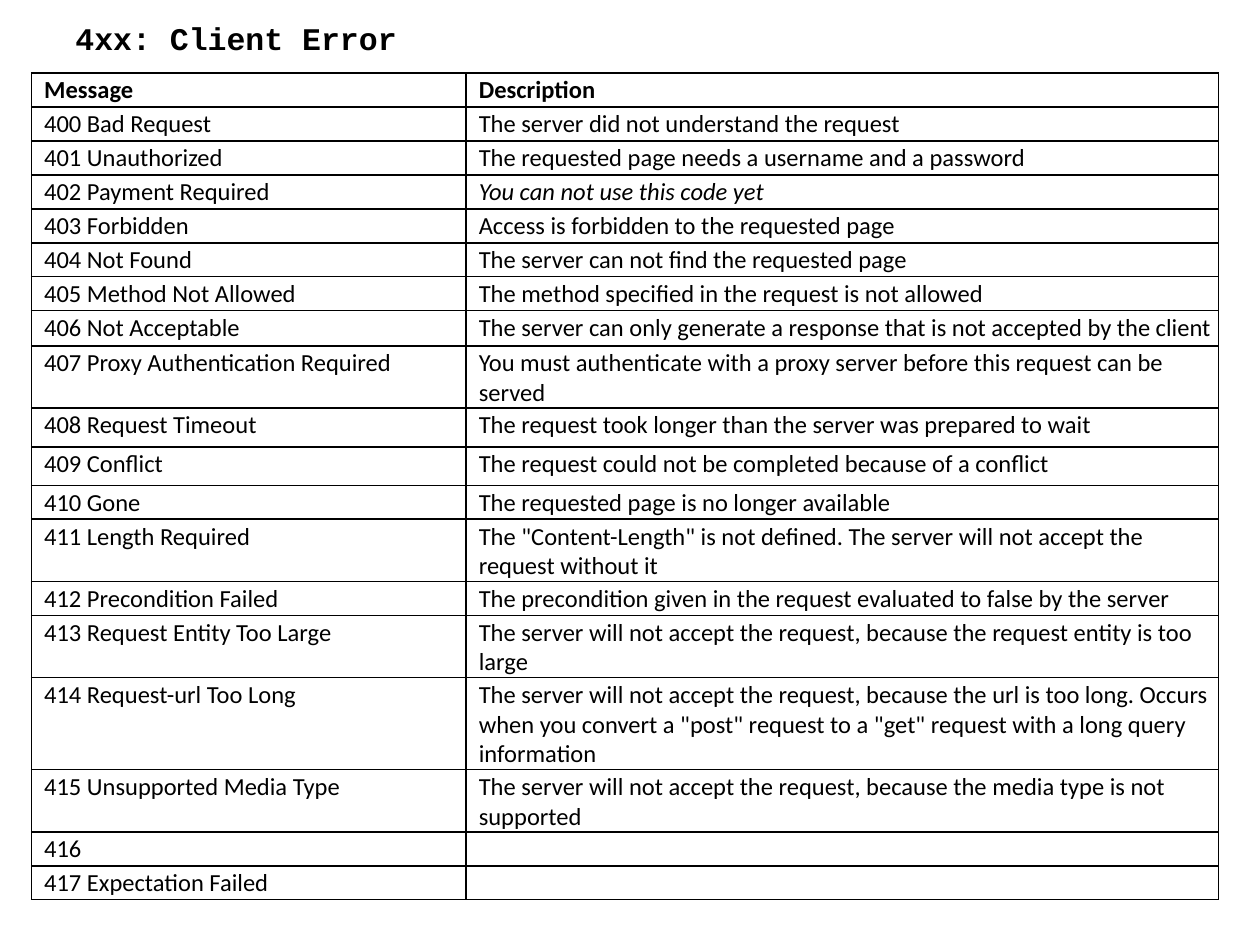
from lxml import etree
from pptx import Presentation
from pptx.dml.color import RGBColor
from pptx.enum.text import MSO_ANCHOR, MSO_AUTO_SIZE
from pptx.oxml.ns import qn
from pptx.util import Pt

MIDDLE = MSO_ANCHOR.MIDDLE
GROW = MSO_AUTO_SIZE.SHAPE_TO_FIT_TEXT
BLACK = RGBColor(0, 0, 0)
WHITE = RGBColor(255, 255, 255)
BASE = 19.4
TALL = {7: 20.2, 8: 35.5, 9: 22.3, 10: 21.8, 12: 35.5, 14: 35.5, 15: 52.7, 16: 35.5}
SIDES = ("a:lnL", "a:lnR", "a:lnT", "a:lnB")
CODES = [
    ("Message", "Description"),
    ("400\u00a0Bad Request", "The server did not understand the request"),
    ("401 Unauthorized", "The requested page needs a username and a password"),
    ("402 Payment Required", "You can not use this code yet"),
    ("403 Forbidden", "Access is forbidden to the requested page"),
    ("404 Not Found", "The server can not find the requested page"),
    ("405 Method Not Allowed", "The method specified in the request is not allowed"),
    ("406 Not Acceptable",
     "The server can only generate a response that is not accepted by the client"),
    ("407 Proxy Authentication Required",
     "You must authenticate with a proxy server before this request can be served"),
    ("408 Request Timeout", "The request took longer than the server was prepared to wait"),
    ("409 Conflict", "The request could not be completed because of a conflict"),
    ("410 Gone", "The requested page is no longer available"),
    ("411 Length Required",
     'The "Content-Length" is not defined. The server will not accept the request without it'),
    ("412 Precondition Failed",
     "The precondition given in the request evaluated to false by the server"),
    ("413 Request Entity Too Large",
     "The server will not accept the request, because the request entity is too large"),
    ("414 Request-url Too Long",
     "The server will not accept the request, because the url is too long. Occurs when you "
     'convert a "post" request to a "get" request with a long query information'),
    ("415 Unsupported Media Type",
     "The server will not accept the request, because the media type is not supported"),
    ("416", ""),
    ("417 Expectation Failed", ""),
]


def set_font(para, name, size, bold=False, italic=False):
    font = para.font
    font.name, font.size = name, Pt(size)
    font.bold, font.italic = bold, italic
    font.color.rgb = BLACK


def add_edges(cell):
    props = cell._tc.get_or_add_tcPr()
    for spot, side in enumerate(SIDES):
        line = etree.Element(qn(side), w=str(Pt(1)))
        fill = etree.SubElement(line, qn("a:solidFill"))
        etree.SubElement(fill, qn("a:srgbClr"), val=str(BLACK))
        props.insert(spot, line)


def fill_cell(cell, text, bold, italic):
    cell.margin_left, cell.margin_right = Pt(7.2), 0
    cell.margin_top, cell.margin_bottom = Pt(1.44), 0
    cell.fill.solid()
    cell.fill.fore_color.rgb = WHITE
    add_edges(cell)
    para = cell.text_frame.paragraphs[0]
    para.text = text
    set_font(para, "Calibri", 14, bold, italic)
    if not text:
        etree.SubElement(para._p, qn("a:endParaRPr"), sz="1400")


def add_title(slide, left, top, width, height):
    box = slide.shapes.add_textbox(Pt(left), Pt(top), Pt(width), Pt(height))
    frame = box.text_frame
    frame.word_wrap = True
    frame.auto_size = GROW
    frame.vertical_anchor = MIDDLE
    para = frame.paragraphs[0]
    para.text = "4xx: Client Error"
    set_font(para, "Courier New", 18, bold=True)


def add_codes(slide, left, top, width):
    highs = [TALL.get(row, BASE) for row in range(len(CODES))]
    frame = slide.shapes.add_table(
        len(CODES), 2, Pt(left), Pt(top), Pt(width), Pt(sum(highs)))
    table = frame.table
    table.first_row = table.horz_banding = False
    first = 248.4
    table.columns[0].width = Pt(first)
    table.columns[1].width = Pt(width - first)
    for row, texts in enumerate(CODES):
        table.rows[row].height = Pt(highs[row])
        for col, text in enumerate(texts):
            fill_cell(table.cell(row, col), text, row == 0, (row, col) == (3, 1))


deck = Presentation()
deck.slide_width, deck.slide_height = Pt(720), Pt(540)
slide = deck.slides.add_slide(deck.slide_layouts[6])
add_codes(slide, 18, 41.8, 678.2)
add_title(slide, 36, 7.2, 390, 29)
deck.save("out.pptx")
